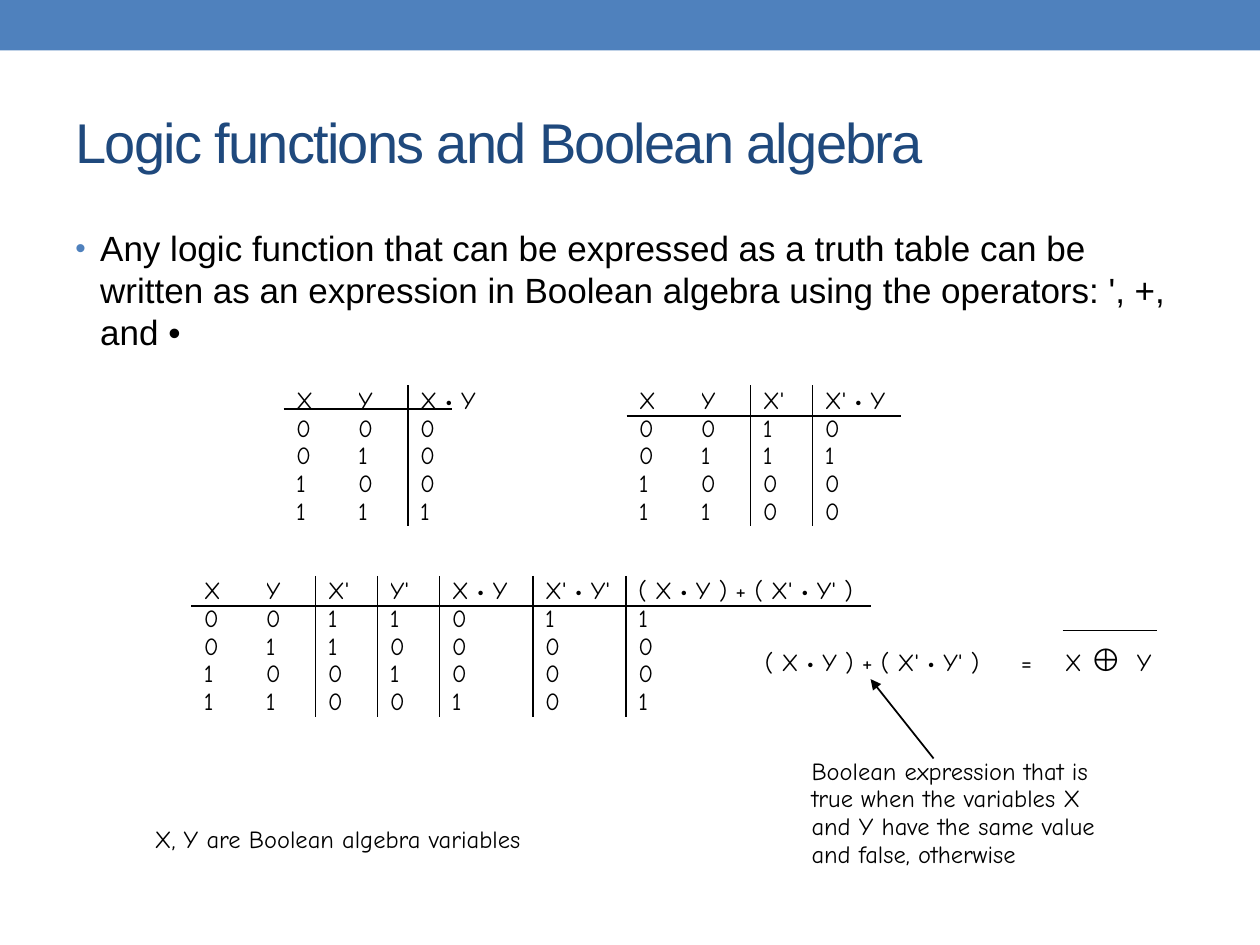
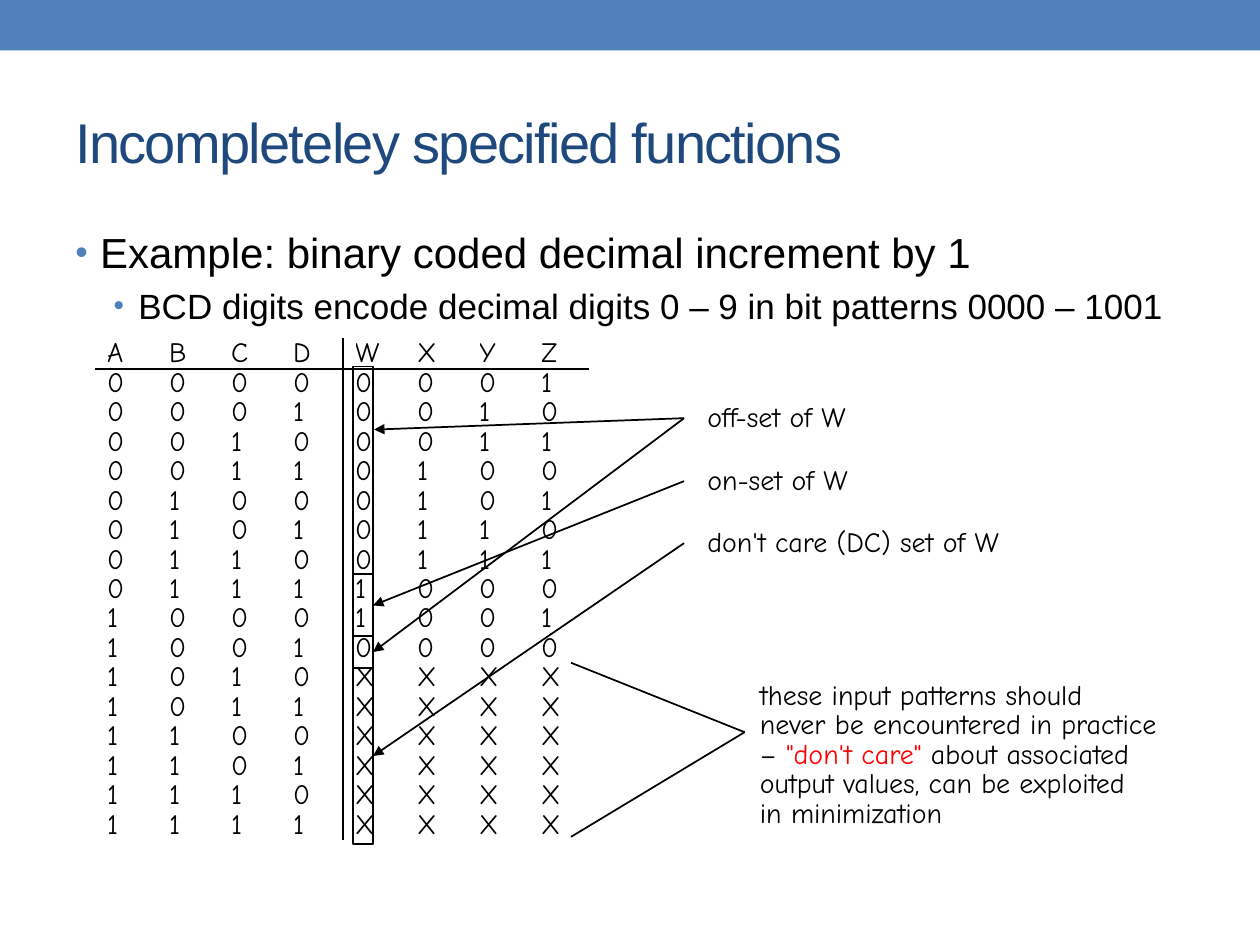
from itertools import accumulate, pairwise
from lxml import etree
from pptx import Presentation
from pptx import util as u
from pptx.dml.color import RGBColor
from pptx.enum import shapes, text
from pptx.oxml.ns import qn

BLUE, NAVY, BLACK, RED = "4F81BD", "1F497D", "000000", "FF0000"
HEADING_FONT, NOTE_FONT = "Arial", "Comic Neue"
SLIDE_WIDTH, SLIDE_HEIGHT = 25.4, 19.05
MARGIN, CONTENT_WIDTH = 1.27, 22.86
COLUMN, WIDE_COLUMN = 1.25, 1.88
SMALL, LARGE = (14, 15.8), (16, 16.8)


def color(value):
    return RGBColor.from_string(value)


def set_font(font, name, size, value):
    font.name, font.size = name, u.Pt(size)
    font.color.rgb = color(value)


def add_box(slide, left, top, width, height, inset=0.0):
    box = slide.shapes.add_textbox(u.Cm(left), u.Cm(top), u.Cm(width), u.Cm(height))
    frame = box.text_frame
    frame.word_wrap = True
    frame.margin_left = frame.margin_right = u.Cm(inset)
    frame.margin_top = frame.margin_bottom = u.Cm(inset / 2)
    return frame


def add_line(slide, start, end, width=1.0, arrow=False, target=None):
    points = [u.Cm(value) for value in (*start, *end)]
    line = slide.shapes.add_connector(shapes.MSO_CONNECTOR.STRAIGHT, *points)
    if target is not None:
        line.end_connect(target, 3)
    line.line.color.rgb = color(BLACK)
    line.line.width = u.Pt(width)
    properties = line.line._get_or_add_ln()
    if arrow:
        etree.SubElement(properties, qn("a:tailEnd"), type="triangle")
    etree.SubElement(properties.getparent(), qn("a:effectLst"))
    return line


def add_note(slide, left, top, width, parts, style, tabs=()):
    size, leading = style
    paragraph = add_box(slide, left, top, width, 0.9).paragraphs[0]
    paragraph.line_spacing = u.Pt(leading)
    if tabs:
        tab_list = etree.SubElement(paragraph._p.get_or_add_pPr(), qn("a:tabLst"))
        for position in tabs:
            etree.SubElement(tab_list, qn("a:tab"), pos=str(u.Cm(position)), algn="l")
    for content, font_name, font_size, value in parts:
        for index, piece in enumerate(content.split("\n")):
            if index:
                paragraph.add_line_break()
            run = paragraph.add_run()
            run.text = piece
            set_font(run.font, font_name or NOTE_FONT, font_size or size, value)


def plain(content):
    return [(content, None, None, BLACK)]


def add_truth_table(slide, left, top, header, rows, widths, style, dividers,
                    rule_width, rule_offset=0.56):
    size, leading = style
    row_height = leading * 2.54 / 72
    height = row_height * (len(rows) + 1)
    table = slide.shapes.add_table(
        len(rows) + 1, len(widths), u.Cm(left), u.Cm(top),
        u.Cm(sum(widths)), u.Cm(height)).table
    table.first_row = table.horz_banding = False
    for column, width in zip(table.columns, widths):
        column.width = u.Cm(width)
    for row, values in zip(table.rows, [header, *rows]):
        row.height = u.Cm(row_height)
        for cell, value in zip(row.cells, values):
            cell.fill.background()
            cell.margin_left = cell.margin_right = 0
            cell.margin_top = cell.margin_bottom = 0
            paragraph = cell.text_frame.paragraphs[0]
            paragraph.text = value
            paragraph.line_spacing = u.Pt(leading)
            set_font(paragraph.font, NOTE_FONT, size, BLACK)
    rule_left, rule_top = left - 0.25, top + rule_offset
    add_line(slide, (rule_left, rule_top), (rule_left + rule_width, rule_top))
    edges = [0, *accumulate(widths)]
    for index in dividers:
        x = rule_left + edges[index]
        add_line(slide, (x, top - 0.05), (x, top + height))


def add_base(presentation, title):
    slide = presentation.slides.add_slide(presentation.slide_layouts[6])
    band = slide.shapes.add_shape(
        shapes.MSO_SHAPE.RECTANGLE, 0, 0, u.Cm(SLIDE_WIDTH), u.Cm(1.02))
    band.shadow.inherit = False
    band.fill.solid()
    band.fill.fore_color.rgb = color(BLUE)
    band.line.fill.background()
    frame = add_box(slide, MARGIN, 1.47, CONTENT_WIDTH, 2.74, 0.25)
    frame.vertical_anchor = text.MSO_ANCHOR.MIDDLE
    run = frame.paragraphs[0].add_run()
    run.text = title
    set_font(run.font, HEADING_FONT, 32, NAVY)
    run.font._element.set("spc", "-100")
    return slide


def add_bullets(slide, height, items):
    frame = add_box(slide, MARGIN, 4.45, CONTENT_WIDTH, height, 0.25)
    for index, (content, size, indent) in enumerate(items):
        paragraph = frame.add_paragraph() if index else frame.paragraphs[0]
        paragraph.text = content
        if index:
            paragraph.space_before = u.Pt(size * 0.2)
        properties = paragraph._p.get_or_add_pPr()
        properties.set("marL", str(u.Cm(indent)))
        properties.set("indent", str(u.Cm(-0.5)))
        bullet_color = etree.SubElement(properties, qn("a:buClr"))
        etree.SubElement(bullet_color, qn("a:srgbClr"), val=BLUE)
        etree.SubElement(properties, qn("a:buSzPct"), val="85000")
        etree.SubElement(properties, qn("a:buFont"), typeface=HEADING_FONT)
        etree.SubElement(properties, qn("a:buChar"), char="•")
        set_font(paragraph.font, HEADING_FONT, size, BLACK)


def add_equivalence(slide, left, top):
    parts = [
        *plain("( X • Y ) + ( X' • Y' )\t=\tX "),
        ("⊕", HEADING_FONT, 18, BLACK),
        *plain("\tY"),
    ]
    add_note(slide, left, top, 8.6, parts, SMALL, (5.16, 6.05, 7.5))
    add_line(slide, (left + 6, top - 0.4), (left + 7.9, top - 0.4), 0.75)
    add_line(slide, (left + 3.4, top + 2.18), (left + 2.13, top + 0.58), arrow=True)
    add_note(slide, left + 0.94, top + 2.16, 7.2, plain(
        "Boolean expression that is\ntrue when the variables X\n"
        "and Y have the same value\nand false, otherwise"), SMALL)


def build_boolean_slide(presentation):
    slide = add_base(presentation, "Logic functions and Boolean algebra")
    add_bullets(slide, 3.3, [(
        "Any logic function that can be expressed as a truth table can be written "
        "as an expression in Boolean algebra using the operators: ', +, and •",
        20, 0.5)])
    add_truth_table(
        slide, 5.97, 7.82, ["X", "Y", "X • Y"], ["000", "010", "100", "111"],
        [COLUMN] * 2 + [WIDE_COLUMN], SMALL, [2], 3.4, 0.43)
    add_truth_table(
        slide, 12.88, 7.82, ["X", "Y", "X'", "X' • Y"],
        ["0010", "0111", "1000", "1100"],
        [COLUMN] * 3 + [WIDE_COLUMN], SMALL, [2, 3], 5.54)
    add_truth_table(
        slide, 4.11, 11.66,
        ["X", "Y", "X'", "Y'", "X • Y", "X' • Y'", "( X • Y ) + ( X' • Y' )"],
        ["0011011", "0110000", "1001000", "1100101"],
        [COLUMN] * 4 + [WIDE_COLUMN] * 2 + [4.75], SMALL, range(2, 7), 13.69)
    add_equivalence(slide, 15.42, 13.11)
    add_note(slide, 3.12, 16.64, 9, plain("X, Y are Boolean algebra variables"), SMALL)


def add_output_sets(slide, left, top):
    groups = []
    for start, end in pairwise([0.53, 4.72, 5.97, 6.6, 10.16]):
        group = slide.shapes.add_shape(
            shapes.MSO_SHAPE.RECTANGLE, u.Cm(left + 4.95), u.Cm(top + start),
            u.Cm(0.41), u.Cm(end - start))
        group.shadow.inherit = False
        group.fill.background()
        group.line.color.rgb = color(BLACK)
        group.line.width = u.Pt(1)
        groups.append(group)
    off_set, on_set, last_off_set, dont_care = groups

    label_left, arrow_left, arrow_end = left + 12.1, left + 11.63, left + 5.38
    off_y, on_y, care_y = top + 1.57, top + 2.84, top + 4.09
    for y, label in [(off_y, "off-set of W"), (on_y, "on-set of W"),
                     (care_y, "don't care (DC) set of W")]:
        add_note(slide, label_left, y - 0.3, 7, plain(label), LARGE)
    off_end = (arrow_end, top + 1.8)
    add_line(slide, (arrow_left, off_y), off_end, arrow=True)
    for y, group in [(off_y, last_off_set), (on_y, on_set), (care_y, dont_care)]:
        add_line(slide, (arrow_left, y), off_end, arrow=True, target=group)


def add_dont_care_note(slide, left, top):
    point = (left - 0.31, top + 1.02)
    for y in (top - 0.38, top + 3.13):
        add_line(slide, (left - 3.81, y), point)
    parts = [
        *plain("these input patterns should\nnever be encountered in practice\n– "),
        ('"don\'t care"', None, None, RED),
        *plain(" about associated\noutput values, can be exploited\nin minimization"),
    ]
    add_note(slide, left, top, 9, parts, LARGE)


def increment_rows():
    for digit in range(16):
        output = f"{(digit + 1) % 10:04b}" if digit < 10 else "XXXX"
        yield f"{digit:04b}{output}"


def build_incomplete_slide(presentation):
    slide = add_base(presentation, "Incompleteley specified functions")
    add_bullets(slide, 13.54, [
        ("Example: binary coded decimal increment by 1", 24, 0.5),
        ("BCD digits encode decimal digits 0 – 9 in bit patterns 0000 – 1001", 20, 1.27),
    ])
    left, top = 2.16, 6.86
    add_truth_table(slide, left, top, "ABCDWXYZ", list(increment_rows()),
                    [COLUMN] * 8, LARGE, [4], 9.96, 0.58)
    add_output_sets(slide, left, top)
    add_dont_care_note(slide, 15.32, 13.74)


def main():
    presentation = Presentation()
    presentation.slide_width = u.Cm(SLIDE_WIDTH)
    presentation.slide_height = u.Cm(SLIDE_HEIGHT)
    build_boolean_slide(presentation)
    build_incomplete_slide(presentation)
    presentation.save("out.pptx")


if __name__ == "__main__":
    main()
